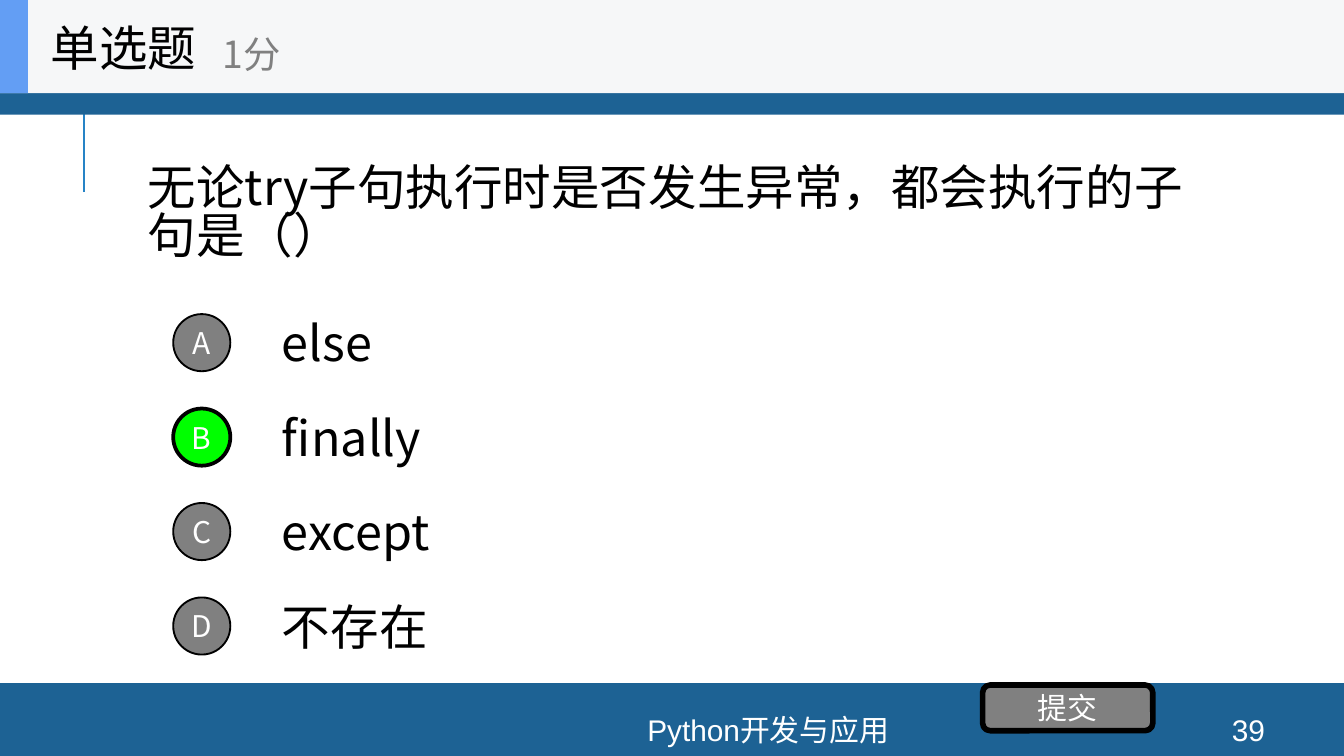
"""Build a single-choice quiz slide about Python exception clauses."""
import pptx
import pptx.util
import pptx.dml.color
import pptx.enum.shapes
import pptx.enum.text
import pptx.oxml.ns
import lxml.etree

Pt = pptx.util.Pt
SHAPES = pptx.enum.shapes.MSO_SHAPE
ALIGN = pptx.enum.text.PP_ALIGN
COLORS = {
    "band": "1D6294", "rule": "2683C6", "header": "F6F7F8", "accent": "639EF4",
    "gray": "808080", "correct": "00FF00", "black": "000000", "white": "FFFFFF",
}
CJK_FONT = "Noto Sans CJK SC"


def color(name):
    return pptx.dml.color.RGBColor.from_string(COLORS[name])


def add_item(text, left, top, width, height, shape=None, fill=None, line=None,
             size=26, ink="black", font=CJK_FONT, align=ALIGN.LEFT,
             wrap=True, spacing=None, inset=7.2):
    frame = (Pt(left), Pt(top), Pt(width), Pt(height))
    if shape is None:
        box = page.shapes.add_textbox(*frame)
    else:
        box = page.shapes.add_shape(shape, *frame)
        box.shadow.inherit = False
        box.fill.solid()
        box.fill.fore_color.rgb = color(fill)
        if line:
            box.line.color.rgb = color("black")
            box.line.width = Pt(line)
        else:
            box.line.fill.background()
    if not text:
        return
    body = box.text_frame
    body.word_wrap = wrap
    body.vertical_anchor = pptx.enum.text.MSO_ANCHOR.MIDDLE
    body.margin_left = body.margin_right = Pt(inset)
    para = body.paragraphs[0]
    para.alignment = align
    if spacing:
        para.line_spacing = spacing
    span = para.add_run()
    span.text = text
    span.font.size = Pt(size)
    span.font.name = font
    span.font.color.rgb = color(ink)
    east_asian = lxml.etree.SubElement(span.font._element, pptx.oxml.ns.qn("a:ea"))
    east_asian.set("typeface", CJK_FONT)


deck = pptx.Presentation()
deck.slide_width = Pt(720)
deck.slide_height = Pt(405)
page = deck.slides.add_slide(deck.slide_layouts[6])

rule = page.shapes.add_connector(
    pptx.enum.shapes.MSO_CONNECTOR.STRAIGHT, Pt(45), Pt(103), Pt(45), Pt(49))
rule.line.color.rgb = color("rule")
rule.line.width = Pt(1.5)
lxml.etree.SubElement(rule._element.spPr, pptx.oxml.ns.qn("a:effectLst"))

add_item("", 0, 366, 720, 39, shape=SHAPES.RECTANGLE, fill="band")
add_item("", 0, -2, 720, 63.4, shape=SHAPES.RECTANGLE, fill="band")

for text, left, width in (("Python开发与应用", 188, 447), ("39", 640, 57.6)):
    add_item(text, left, 382.3, width, 16.6, size=16, ink="white",
             font="Arial", align=ALIGN.CENTER)

add_item("无论try子句执行时是否发生异常，都会执行的子句是（）",
         72, 51.7, 576, 126.7, spacing=0.83)

answers = ("else", "finally", "except", "不存在")
for row, (letter, answer) in enumerate(zip("ABCD", answers)):
    offset = 50.6 * row
    correct = letter == "B"
    add_item(answer, 144, 164.4 + offset, 504, 38)
    add_item(letter, 92.8, 168.3 + offset, 30.6, 30.6, shape=SHAPES.OVAL,
             fill="correct" if correct else "gray", line=2 if correct else 1,
             size=16, ink="white", align=ALIGN.CENTER, inset=0)

add_item("提交", 526.4, 367, 91.2, 24.5, shape=SHAPES.ROUNDED_RECTANGLE,
         fill="gray", line=3, size=16, ink="white", align=ALIGN.CENTER)

add_item("", 0, 0, 720, 50, shape=SHAPES.RECTANGLE, fill="header")
add_item("", 0, 0, 15, 50, shape=SHAPES.RECTANGLE, fill="accent")
add_item("单选题", 20, 0, 150, 50, wrap=False)
add_item("1分", 112.3, 8.6, 180, 40.3, size=20, ink="gray", wrap=False)

deck.save("out.pptx")
